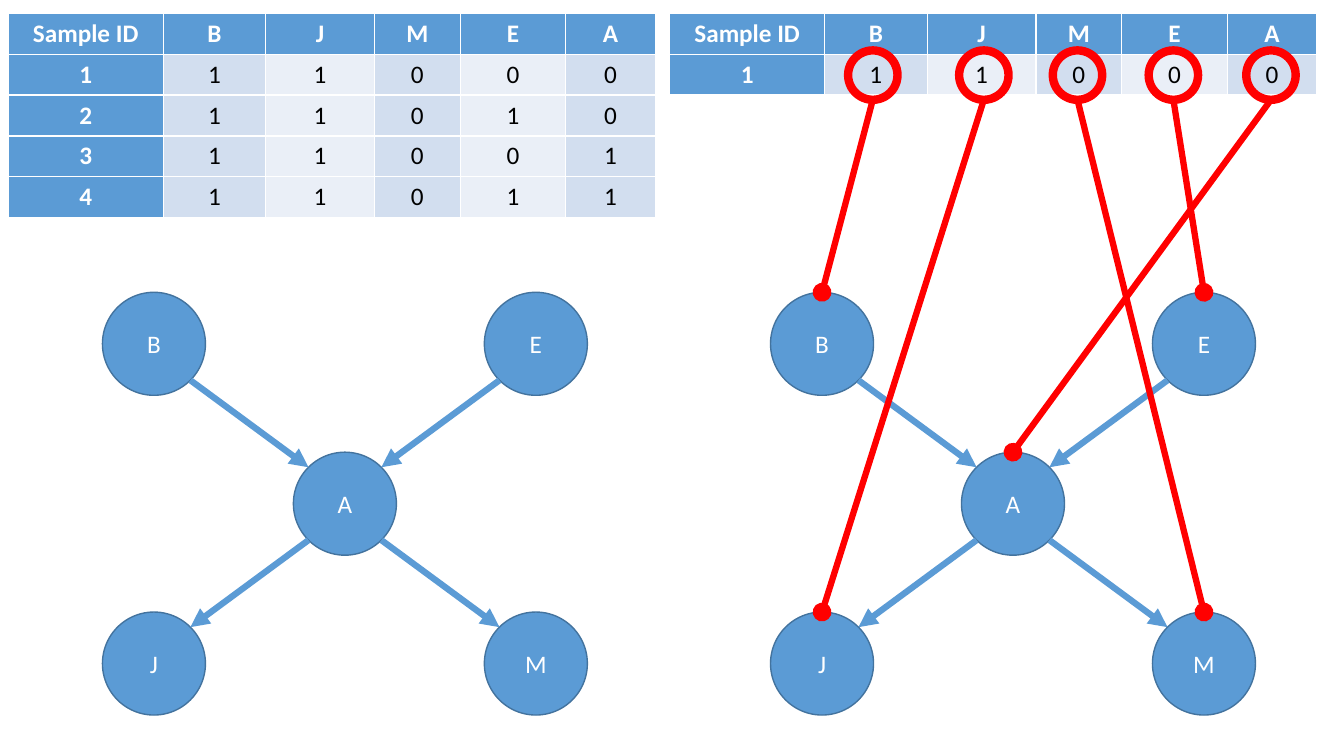
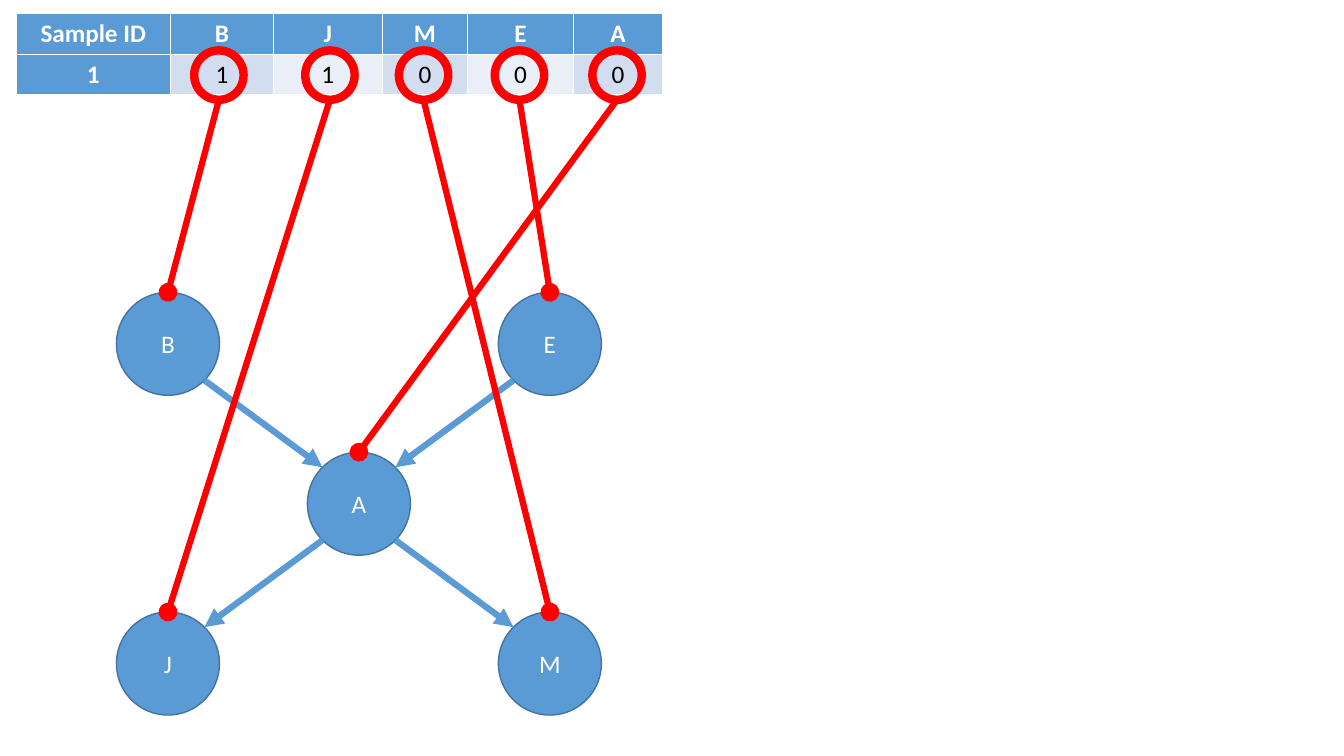
from math import sqrt
from lxml.etree import SubElement
from pptx import Presentation
from pptx.dml.color import RGBColor
from pptx.enum.shapes import MSO_CONNECTOR, MSO_SHAPE
from pptx.enum.text import MSO_ANCHOR, PP_ALIGN
from pptx.oxml.ns import qn
from pptx.util import Pt

BLUE = RGBColor(0x5B, 0x9B, 0xD5)
OUTLINE = RGBColor(0x43, 0x73, 0x9E)
BAND_DARK = RGBColor(0xD2, 0xDE, 0xEF)
BAND_LIGHT = RGBColor(0xEA, 0xEF, 0xF7)
RED = RGBColor(0xFF, 0x00, 0x00)
WHITE = RGBColor(0xFF, 0xFF, 0xFF)
BLACK = RGBColor(0x00, 0x00, 0x00)

FONT = "Calibri"
TEXT_SIZE = 18
LINE_WIDTH = 4.5

TABLE_TOP = 9.5
ROW_HEIGHT = 29.2
COLUMN_WIDTHS = [110.5, 73.3, 77.8, 61.1, 75.5, 64]
HEADER = ["Sample ID", "B", "J", "M", "E", "A"]
SAMPLES = ["11000", "11010", "11001", "11011"]

GRAPH_TOP = 208.8
NODE_SIZE = 73.6
STEP_X, STEP_Y = 136.4, 114.2
NODE_GRID = {"B": (0, 0), "E": (2, 0), "M": (2, 2), "J": (0, 2), "A": (1, 1)}
EDGES = ["BA", "EA", "AJ", "AM"]

RING_SIZE = 35.3
RING_TOP = 36
RING_INSETS = {"B": 127.3, "J": 206.6, "M": 273.5, "E": 342, "A": 411.7}


def write(frame, text, color, bold=False):
    para = frame.paragraphs[0]
    para.alignment = PP_ALIGN.CENTER
    span = para.add_run()
    span.text = text
    span.font.name = FONT
    span.font.size = Pt(TEXT_SIZE)
    span.font.bold = bold
    span.font.color.rgb = color


def add_ellipse(page, left, top, size, line_color, line_width):
    ellipse = page.shapes.add_shape(
        MSO_SHAPE.OVAL, Pt(left), Pt(top), Pt(size), Pt(size))
    ellipse.shadow.inherit = False
    ellipse.line.color.rgb = line_color
    ellipse.line.width = Pt(line_width)
    return ellipse


def add_line(page, start, end, color, tip):
    line = page.shapes.add_connector(
        MSO_CONNECTOR.STRAIGHT, *(Pt(value) for value in (*start, *end)))
    line.line.color.rgb = color
    line.line.width = Pt(LINE_WIDTH)
    properties = line._element.spPr
    SubElement(properties.find(qn("a:ln")), qn("a:tailEnd"), type=tip)
    SubElement(properties, qn("a:effectLst"))


def add_sample_table(page, left, samples):
    rows = [HEADER] + [[str(number), *values]
                       for number, values in enumerate(samples, 1)]
    table = page.shapes.add_table(
        len(rows), len(HEADER), Pt(left), Pt(TABLE_TOP),
        Pt(sum(COLUMN_WIDTHS)), Pt(ROW_HEIGHT * len(rows))).table
    table.horz_banding = False
    for column, width in zip(table.columns, COLUMN_WIDTHS):
        column.width = Pt(width)
    for row_index, row in enumerate(rows):
        table.rows[row_index].height = Pt(ROW_HEIGHT)
        for column_index, text in enumerate(row):
            cell = table.cell(row_index, column_index)
            heading = row_index == 0 or column_index == 0
            band = BAND_DARK if column_index % 2 else BAND_LIGHT
            cell.fill.solid()
            cell.fill.fore_color.rgb = BLUE if heading else band
            write(cell.text_frame, text, WHITE if heading else BLACK, heading)


def node_center(left, name):
    column, row = NODE_GRID[name]
    return (left + NODE_SIZE / 2 + column * STEP_X,
            GRAPH_TOP + NODE_SIZE / 2 + row * STEP_Y)


def add_graph(page, left):
    radius = NODE_SIZE / 2
    for name in NODE_GRID:
        x, y = node_center(left, name)
        node = add_ellipse(page, x - radius, y - radius, NODE_SIZE, OUTLINE, 1)
        node.fill.solid()
        node.fill.fore_color.rgb = BLUE
        node.text_frame.vertical_anchor = MSO_ANCHOR.MIDDLE
        write(node.text_frame, name, WHITE)
    diagonal = radius / sqrt(2)
    for source, target in EDGES:
        x1, y1 = node_center(left, source)
        x2, y2 = node_center(left, target)
        shift = diagonal if x2 > x1 else -diagonal
        add_line(page, (x1 + shift, y1 + diagonal),
                 (x2 - shift, y2 - diagonal), BLUE, "triangle")


def add_traces(page, table_left, graph_left):
    for name, inset in RING_INSETS.items():
        ring_left = table_left + inset
        ring = add_ellipse(page, ring_left, RING_TOP, RING_SIZE, RED, 6)
        ring.fill.background()
        x, y = node_center(graph_left, name)
        add_line(page, (ring_left + RING_SIZE / 2, RING_TOP + RING_SIZE),
                 (x, y - NODE_SIZE / 2), RED, "oval")


def add_panel(page, table_left, graph_left, samples, traced):
    add_graph(page, graph_left)
    add_sample_table(page, table_left, samples)
    if traced:
        add_traces(page, table_left, graph_left)


deck = Presentation()
deck.slide_width, deck.slide_height = Pt(960), Pt(540)
blank = deck.slide_layouts[6]

overview = deck.slides.add_slide(blank)
add_panel(overview, 6, 73.2, SAMPLES, False)
add_panel(overview, 478.5, 550.4, SAMPLES[:1], True)

first_sample = deck.slides.add_slide(blank)
add_panel(first_sample, 11.4, 83.2, SAMPLES[:1], True)

deck.save("out.pptx")
